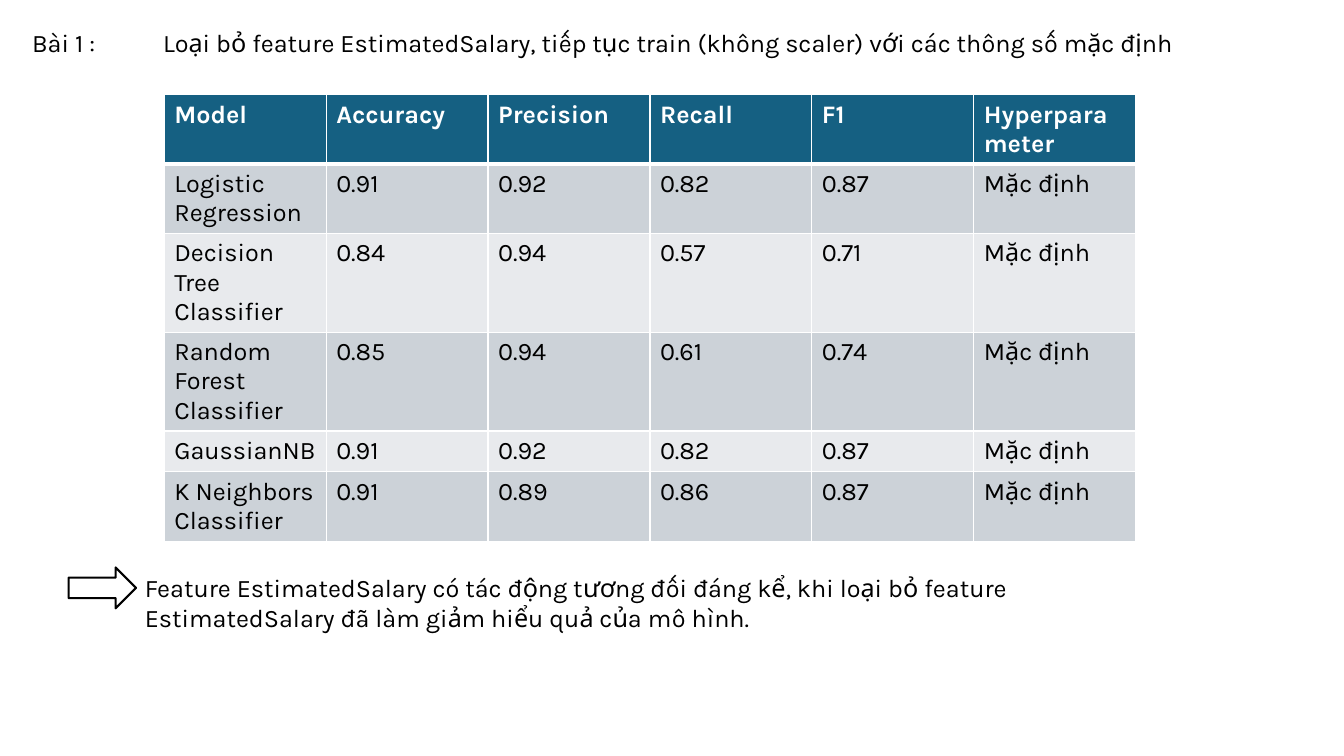
"""Build the slide comparing models trained without the EstimatedSalary feature."""
from lxml import etree
from pptx import Presentation
from pptx import util as u
from pptx.dml.color import RGBColor
from pptx.enum import shapes, text
from pptx.oxml.ns import qn

HEADINGS = ["Model", "Accuracy", "Precision", "Recall", "F1", "Hyperparameter"]
SETTING = "Mặc định"
SCORES = [
    ("Logistic Regression", "0.91", "0.92", "0.82", "0.87"),
    ("Decision Tree Classifier", "0.84", "0.94", "0.57", "0.71"),
    ("Random Forest Classifier", "0.85", "0.94", "0.61", "0.74"),
    ("GaussianNB", "0.91", "0.92", "0.82", "0.87"),
    ("K Neighbors Classifier", "0.91", "0.89", "0.86", "0.87"),
]
TEXTS = [
    ("Feature EstimatedSalary có tác động tương đối đáng kể, khi loại bỏ feature "
     "EstimatedSalary đã làm giảm hiểu quả của mô hình.", (3.4, 14.3, 25.98, 1.8), True),
    ("Bài 1 :", (0.56, 0.56, 2.31, 1.03), False),
    ("Loại bỏ feature EstimatedSalary, tiếp tục train (không scaler) với các thông số mặc định",
     (3.86, 0.56, 26.95, 1.03), True),
]
ARROW_AREA = (1.73, 14.3, 1.7, 1.03)
TABLE_LEFT, TABLE_TOP = 4.14, 2.39
COLUMN_WIDTH, ROW_HEIGHT = 4.08, 1.03

FONT = "Karla"
BLACK = RGBColor(0x00, 0x00, 0x00)
WHITE = RGBColor(0xFF, 0xFF, 0xFF)
TEAL = RGBColor(0x15, 0x60, 0x82)
BANDS = [RGBColor(0xE8, 0xEA, 0xED), RGBColor(0xCC, 0xD2, 0xD8)]


def place(area):
    return [u.Cm(length) for length in area]


def write(frame, words, color=BLACK, bold=False):
    span = frame.paragraphs[0].add_run()
    span.text = words
    span.font.name = FONT
    span.font.size = u.Pt(18)
    span.font.bold = bold
    span.font.color.rgb = color


def add_border(cell, side, width):
    line = etree.SubElement(cell._tc.get_or_add_tcPr(), qn(f"a:ln{side}"), w=str(u.Pt(width)))
    fill = etree.SubElement(line, qn("a:solidFill"))
    etree.SubElement(fill, qn("a:srgbClr"), val=str(WHITE))


def add_table(page):
    rows = [HEADINGS] + [(*scores, SETTING) for scores in SCORES]
    area = (TABLE_LEFT, TABLE_TOP, COLUMN_WIDTH * len(HEADINGS), ROW_HEIGHT * len(rows))
    table = page.shapes.add_table(len(rows), len(HEADINGS), *place(area)).table
    for column in table.columns:
        column.width = u.Cm(COLUMN_WIDTH)
    for r, row in enumerate(rows):
        table.rows[r].height = u.Cm(ROW_HEIGHT)
        header = r == 0
        widths = {"L": 1, "R": 1, "T": 3 if r == 1 else 1, "B": 3 if header else 1}
        for c, words in enumerate(row):
            cell = table.cell(r, c)
            for side, width in widths.items():
                add_border(cell, side, width)
            cell.fill.solid()
            cell.fill.fore_color.rgb = TEAL if header else BANDS[r % 2]
            write(cell.text_frame, words, WHITE if header else BLACK, header)


def add_text(page, words, area, wrap):
    box = page.shapes.add_textbox(*place(area))
    box.text_frame.word_wrap = wrap
    box.text_frame.auto_size = text.MSO_AUTO_SIZE.SHAPE_TO_FIT_TEXT
    write(box.text_frame, words)


def add_arrow(page):
    arrow = page.shapes.add_shape(shapes.MSO_SHAPE.RIGHT_ARROW, *place(ARROW_AREA))
    arrow.shadow.inherit = False
    arrow.fill.solid()
    arrow.fill.fore_color.rgb = WHITE
    arrow.line.color.rgb = BLACK
    arrow.line.width = u.Pt(1.5)


def main():
    deck = Presentation()
    deck.slide_width, deck.slide_height = u.Cm(33.87), u.Cm(19.05)
    page = deck.slides.add_slide(deck.slide_layouts[6])
    add_table(page)
    for words, area, wrap in TEXTS:
        add_text(page, words, area, wrap)
    add_arrow(page)
    deck.save("out.pptx")


if __name__ == "__main__":
    main()
